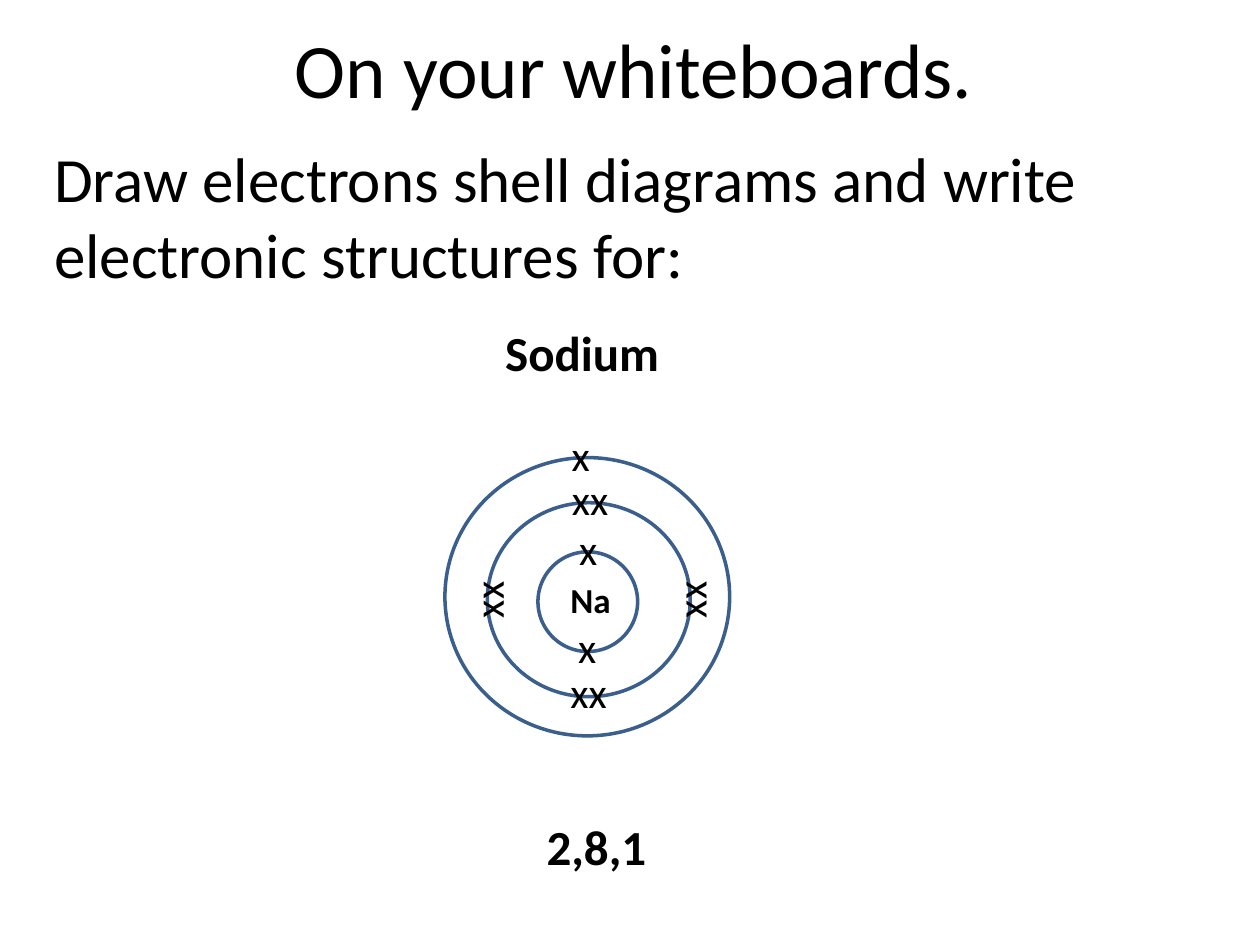
import pptx
import pptx.util
import pptx.dml.color
import pptx.enum.shapes
import pptx.enum.text
from pptx.util import Cm

THEME = {
    "font": "Calibri",
    "text": pptx.dml.color.RGBColor(0x00, 0x00, 0x00),
    "ring": pptx.dml.color.RGBColor(0x3A, 0x5F, 0x8C),
    "ring_width": 2,
    "title": 44,
    "body": 36,
    "label": 28,
    "electron": 24,
    "nucleus": 20,
}

# All places are centres (x, y) and sizes (width, height), in centimetres.
TITLE = ("On your whiteboards.", (12.78, 1.36), (22.81, 4.09))
TASK = (
    "Draw electrons shell diagrams and write electronic structures for:",
    (11.47, 4.36),
    (21.26, 3.33),
)
LABELS = [
    ("Sodium", (11.75, 7.1), (3.63, 1.45)),
    ("2,8,1", (12.04, 17.06), (2.54, 1.45)),
]
NUCLEUS = ("Na", (11.91, 12.09), (1.32, 1.12))
SHELLS = [
    ((11.85, 12.13), (2.01, 2.01)),
    ((11.87, 12.09), (4.09, 3.91)),
    ((11.84, 12.03), (5.74, 5.61)),
]
ELECTRONS = [
    ("x", (11.87, 11.07), 0),
    ("x", (11.85, 13.03), 0),
    ("xx", (11.9, 10.06), 0),
    ("xx", (11.87, 13.94), 0),
    ("xx", (13.91, 12.09), 270),
    ("xx", (9.82, 12.09), 270),
    ("x", (11.72, 9.17), 0),
]
ELECTRON_SIZES = {"x": (0.89, 1.27), "xx": (1.24, 1.27)}


def frame(centre, size):
    """Return left, top, width and height of a box around its centre."""
    (x, y), (width, height) = centre, size
    return Cm(x - width / 2), Cm(y - height / 2), Cm(width), Cm(height)


def add_text(slide, text, centre, size, style, bold=False, wrap=False):
    box = slide.shapes.add_textbox(*frame(centre, size))
    box.text_frame.word_wrap = wrap
    box.text_frame.text = text
    font = box.text_frame.paragraphs[0].runs[0].font
    font.name = THEME["font"]
    font.size = pptx.util.Pt(THEME[style])
    font.color.rgb = THEME["text"]
    font.bold = bold
    return box


def add_shell(slide, centre, size):
    shell = slide.shapes.add_shape(
        pptx.enum.shapes.MSO_SHAPE.OVAL, *frame(centre, size)
    )
    shell.shadow.inherit = False
    shell.fill.background()
    shell.line.color.rgb = THEME["ring"]
    shell.line.width = pptx.util.Pt(THEME["ring_width"])


def main():
    presentation = pptx.Presentation()
    presentation.slide_width = Cm(25.4)
    presentation.slide_height = Cm(19.05)
    slide = presentation.slides.add_slide(presentation.slide_layouts[6])

    title = add_text(slide, *TITLE, "title", wrap=True)
    title.text_frame.vertical_anchor = pptx.enum.text.MSO_ANCHOR.MIDDLE
    title.text_frame.paragraphs[0].alignment = pptx.enum.text.PP_ALIGN.CENTER
    add_text(slide, *TASK, "body", wrap=True)
    for label in LABELS:
        add_text(slide, *label, "label", bold=True)

    for centre, size in SHELLS:
        add_shell(slide, centre, size)
    add_text(slide, *NUCLEUS, "nucleus", bold=True)
    for text, centre, rotation in ELECTRONS:
        electron = add_text(slide, text, centre, ELECTRON_SIZES[text], "electron")
        electron.rotation = rotation

    presentation.save("out.pptx")


if __name__ == "__main__":
    main()
